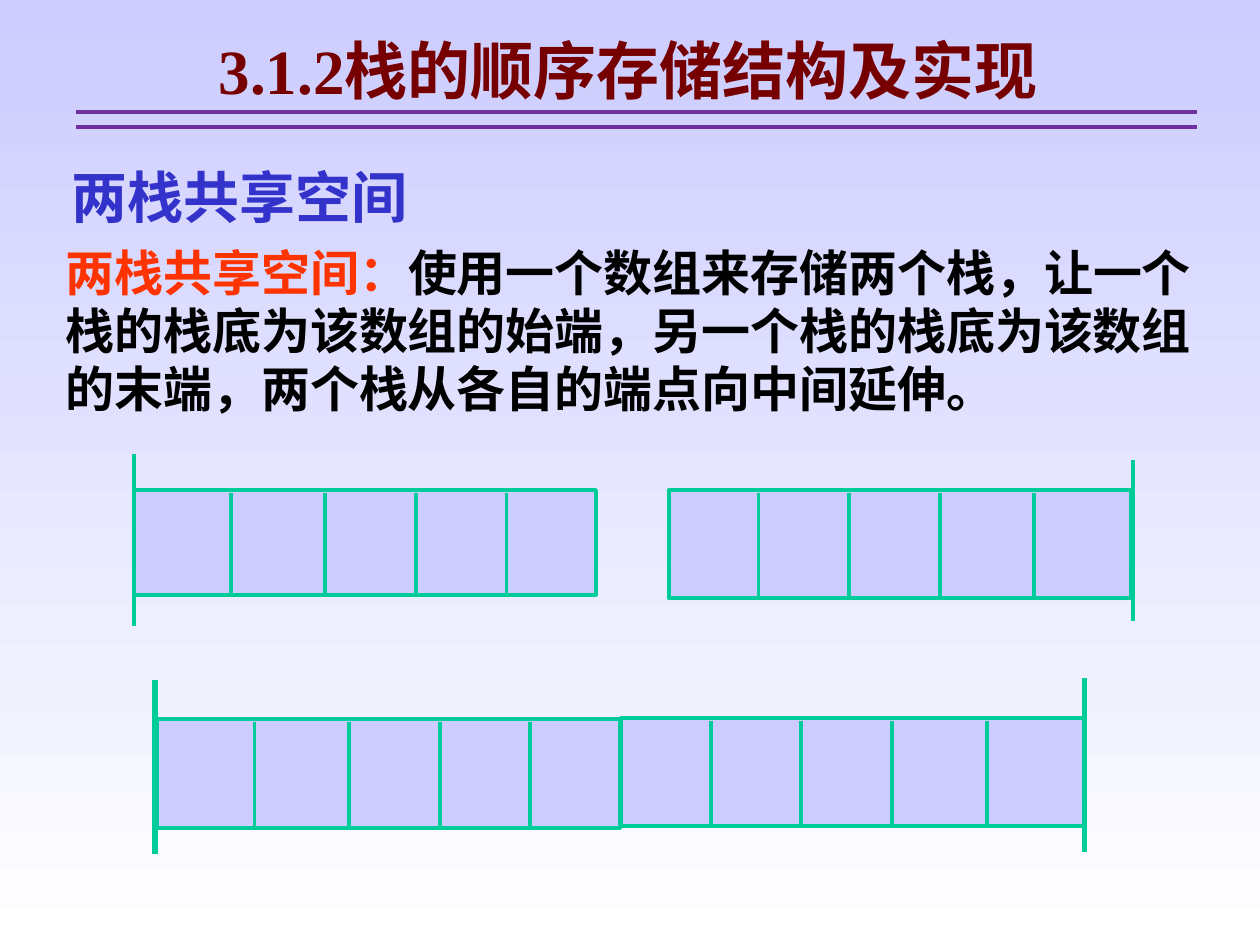
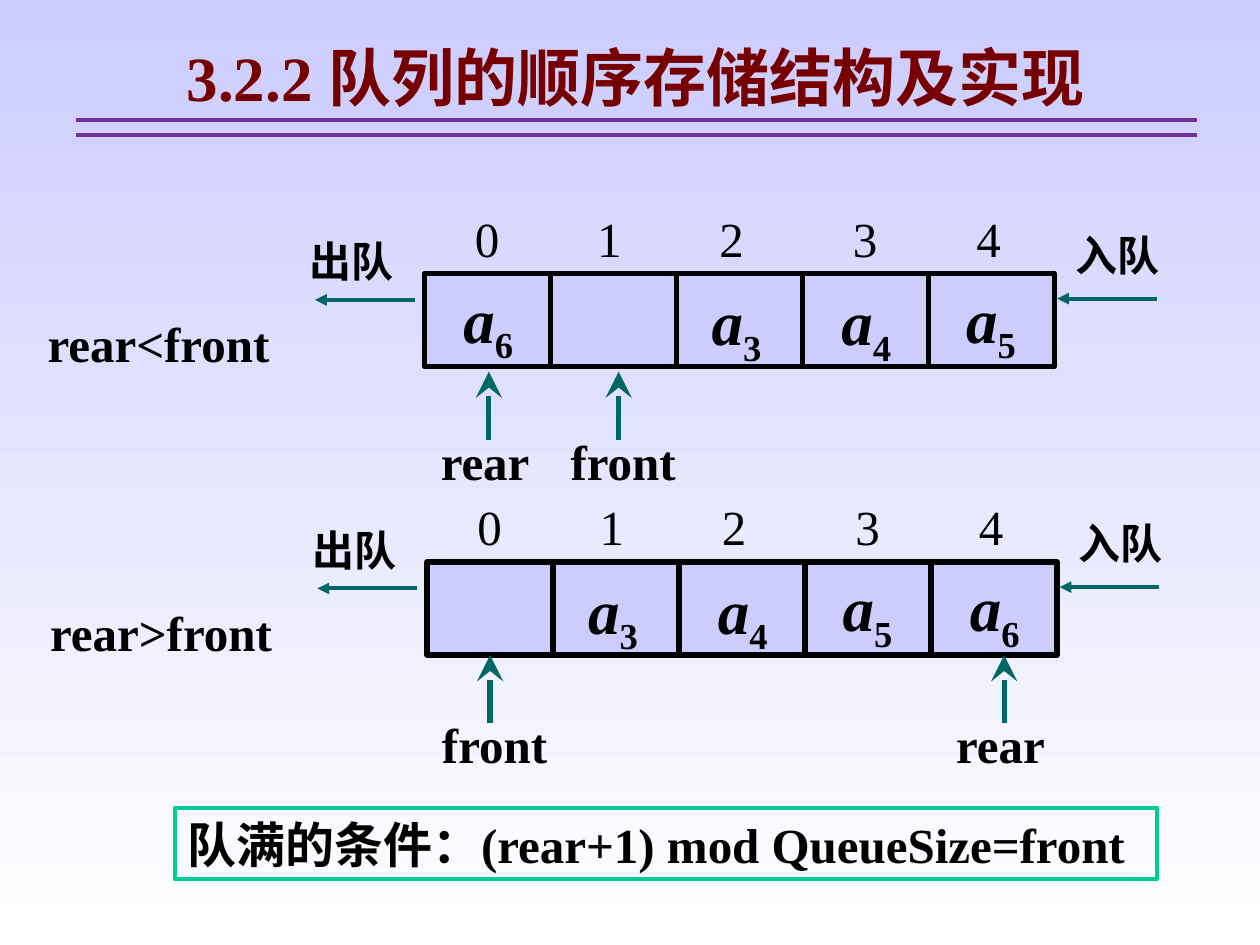
from lxml import etree
from pptx import Presentation
from pptx.dml.color import RGBColor
from pptx.enum.shapes import MSO_CONNECTOR, MSO_SHAPE
from pptx.enum.text import MSO_ANCHOR, PP_ALIGN
from pptx.oxml.ns import qn
from pptx.util import Inches, Pt

LAVENDER = RGBColor(0xCC, 0xCC, 0xFF)
WHITE = RGBColor(0xFF, 0xFF, 0xFF)
BLACK = RGBColor(0, 0, 0)
GREEN = RGBColor(0x00, 0xCC, 0x99)
TEAL = RGBColor(0x00, 0x66, 0x66)
MAROON = RGBColor(0x76, 0, 0)
PURPLE = RGBColor(0x70, 0x30, 0xA0)
BLUE = RGBColor(0x33, 0x33, 0xCC)
ORANGE = RGBColor(0xFF, 0x33, 0x00)
SERIF = "Times New Roman"
CJK = "Noto Sans CJK SC"

STACK_TITLE = "3.1.2栈的顺序存储结构及实现"
STACK_HEADING = "两栈共享空间"
STACK_TERM = "两栈共享空间："
STACK_DEFINITION = ("使用一个数组来存储两个栈，让一个栈的栈底为该数组的始端，"
                    "另一个栈的栈底为该数组的末端，两个栈从各自的端点向中间延伸。")
DIVIDERS = (0.77, 1.52, 2.24, 2.96)
STACK_WIDTH = 3.67
STACKS = [
    dict(left=1.06, top=3.89, height=0.83, base="left", wall=(1.06, 3.6, 4.97), weight=2.25),
    dict(left=5.31, top=3.89, height=0.86, base="right", wall=(8.99, 3.65, 4.93), weight=2.25),
    dict(left=1.25, top=5.71, height=0.86, base="left", wall=(1.23, 5.4, 6.78), weight=3),
    dict(left=4.93, top=5.7, height=0.86, base="right", wall=(8.61, 5.38, 6.76), weight=3),
]

QUEUE_TITLE = "3.2.2 队列的顺序存储结构及实现"
FULL_CONDITION = "队满的条件：(rear+1) mod QueueSize=front"
INDEXES = "0\t1\t2\t3\t4"
INDEX_TABS = (0.97, 1.94, 3, 3.98)
DEQUEUE, ENQUEUE = "出队", "入队"
CELL_WIDTH, CELL_HEIGHT = 1, 0.74
ITEM_OFFSETS = {"3": (0.18, 0.02), "4": (0.21, 0.02), "5": (0.2, 0), "6": (0.21, 0)}
QUEUES = [
    dict(relation="rear<front", left=3.37, top=2.17, items=["6", "", "3", "4", "5"],
         pointer_top=2.95, pointers=[("rear", 3.88), ("front", 4.91)]),
    dict(relation="rear>front", left=3.39, top=4.46, items=["", "3", "4", "5", "6"],
         pointer_top=5.2, pointers=[("front", 3.89), ("rear", 7.97)]),
]


def write(slide, text, left, top, width, height, *, size=28, color=BLACK, bold=True,
          font=SERIF, align=PP_ALIGN.LEFT, inset=0.1, spacing=None, tabs=(), subscript="",
          lead="", lead_color=None, border=None):
    place = [Inches(v) for v in (left, top, width, height)]
    if border:
        holder = slide.shapes.add_shape(MSO_SHAPE.RECTANGLE, *place)
        holder.shadow.inherit = False
        holder.fill.background()
        holder.line.color.rgb = border
        holder.line.width = Pt(2.25)
    else:
        holder = slide.shapes.add_textbox(*place)
    frame = holder.text_frame
    frame.word_wrap = True
    frame.vertical_anchor = MSO_ANCHOR.MIDDLE
    frame.margin_left = frame.margin_right = Inches(inset)
    paragraph = frame.paragraphs[0]
    paragraph.alignment = align
    if spacing:
        paragraph.line_spacing = Pt(spacing)
    if tabs:
        stops = etree.SubElement(paragraph._p.get_or_add_pPr(), qn("a:tabLst"))
        for stop in tabs:
            etree.SubElement(stops, qn("a:tab"), pos=str(Inches(stop)), algn="l")
    for part, shade in ((lead, lead_color), (text, color), (subscript, color)):
        if not part:
            continue
        run = paragraph.add_run()
        run.text = part
        run.font.size = Pt(size)
        run.font.bold = bold
        run.font.name = font
        run.font.color.rgb = shade
        properties = run.font._element
        etree.SubElement(properties, qn("a:ea"), typeface=CJK)
        if subscript:
            run.font.italic = part == text
            if part == subscript:
                properties.set("baseline", "-25000")
    return holder


def draw_line(slide, x1, y1, x2, y2, color, weight=2.25, head=None, head_size="med"):
    line = slide.shapes.add_connector(
        MSO_CONNECTOR.STRAIGHT, Inches(x1), Inches(y1), Inches(x2), Inches(y2))
    line.line.color.rgb = color
    line.line.width = Pt(weight)
    if head:
        etree.SubElement(line.line._get_or_add_ln(), qn("a:tailEnd"),
                         type=head, w=head_size, len=head_size)
    etree.SubElement(line._element.spPr, qn("a:effectLst"))
    return line


def draw_box(slide, left, top, width, height, outline, weight):
    box = slide.shapes.add_shape(
        MSO_SHAPE.RECTANGLE, Inches(left), Inches(top), Inches(width), Inches(height))
    box.shadow.inherit = False
    box.fill.solid()
    box.fill.fore_color.rgb = LAVENDER
    box.line.color.rgb = outline
    box.line.width = Pt(weight)
    return box


def start_slide(deck, title, top, left=0.6):
    slide = deck.slides.add_slide(deck.slide_layouts[6])
    fill = slide.background.fill
    fill.gradient()
    fill.gradient_angle = 270
    for stop, color in zip(fill.gradient_stops, (LAVENDER, WHITE)):
        stop.color.rgb = color
    write(slide, title, left, top + 0.04, 8.77, 0.7, size=36, color=MAROON,
          align=PP_ALIGN.CENTER)
    for gap in (0.73, 0.85):
        draw_line(slide, 0.6, top + gap, 9.5, top + gap, PURPLE)
    return slide


def draw_stack(slide, left, top, height, base, wall, weight):
    draw_box(slide, left, top, STACK_WIDTH, height, GREEN, 2.25)
    for step in DIVIDERS:
        x = left + step if base == "left" else left + STACK_WIDTH - step
        draw_line(slide, x, top + 0.02, x, top + height, GREEN)
    wall_x, wall_top, wall_bottom = wall
    draw_line(slide, wall_x, wall_top, wall_x, wall_bottom, GREEN, weight)


def draw_queue(slide, relation, left, top, items, pointer_top, pointers):
    cells = [draw_box(slide, left + i * CELL_WIDTH, top, CELL_WIDTH, CELL_HEIGHT, BLACK, 3)
             for i in range(len(items))]
    right = left + len(items) * CELL_WIDTH
    write(slide, INDEXES, left + 0.3, top - 0.57, 4.68, 0.57, bold=False, tabs=INDEX_TABS)
    write(slide, relation, left - 3.09, top + 0.27, 2.2, 0.57)
    write(slide, DEQUEUE, left - 1.01, top - 0.35, 1.08, 0.5, size=24)
    write(slide, ENQUEUE, right + 0.07, top - 0.4, 1.08, 0.5, size=24)
    draw_line(slide, left - 0.08, top + 0.21, left - 0.87, top + 0.21, TEAL, head="triangle")
    draw_line(slide, right + 0.81, top + 0.2, right + 0.02, top + 0.2, TEAL, head="triangle")
    for i, item in enumerate(items):
        if item:
            dx, dy = ITEM_OFFSETS[item]
            write(slide, "a", left + i * CELL_WIDTH + dx, top + dy, 0.64, 0.79,
                  size=36, subscript=item)
    for label, x in pointers:
        arrow = draw_line(slide, x, pointer_top + 0.54, x, pointer_top, TEAL, 3,
                          head="stealth", head_size="lg")
        cell = int((x - left) // CELL_WIDTH)
        center = left + (cell + 0.5) * CELL_WIDTH
        if max(abs(center - x), abs(top + CELL_HEIGHT - pointer_top)) < 0.01:
            arrow.end_connect(cells[cell], 2)
        write(slide, label, x - 0.48, pointer_top + 0.42, 1.1, 0.57)


def main():
    deck = Presentation()
    deck.slide_width, deck.slide_height = Inches(10), Inches(7.5)

    stack_slide = start_slide(deck, STACK_TITLE, 0.16)
    for stack in STACKS:
        draw_stack(stack_slide, **stack)
    write(stack_slide, STACK_DEFINITION, 0.52, 1.83, 9.06, 1.58, font=CJK, inset=0,
          spacing=33.3, lead=STACK_TERM, lead_color=ORANGE)
    write(stack_slide, STACK_HEADING, 0.47, 1.24, 5, 0.64, size=32, color=BLUE)

    queue_slide = start_slide(deck, QUEUE_TITLE, 0.22, left=0.66)
    for queue in QUEUES:
        draw_queue(queue_slide, **queue)
    write(queue_slide, FULL_CONDITION, 1.39, 6.41, 7.79, 0.57, border=GREEN)

    deck.save("out.pptx")


if __name__ == "__main__":
    main()
